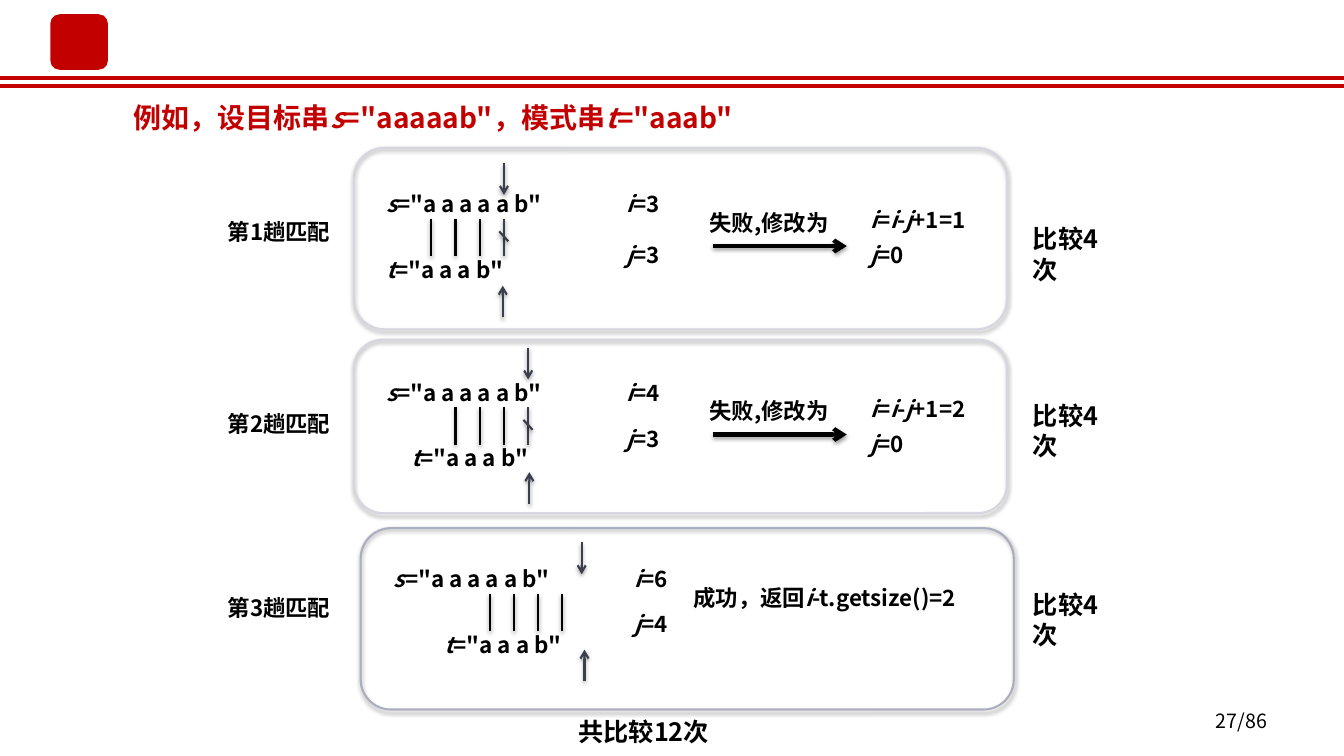
from lxml import etree
from pptx import Presentation
from pptx.dml.color import RGBColor
from pptx.enum.shapes import MSO_CONNECTOR, MSO_SHAPE
from pptx.enum.text import MSO_ANCHOR, PP_ALIGN
from pptx.oxml.ns import qn
from pptx.util import Cm, Pt

LINE = MSO_CONNECTOR.STRAIGHT
ROUND = MSO_SHAPE.ROUNDED_RECTANGLE
TOP, MIDDLE = MSO_ANCHOR.TOP, MSO_ANCHOR.MIDDLE
LEFT, CENTER, RIGHT = PP_ALIGN.LEFT, PP_ALIGN.CENTER, PP_ALIGN.RIGHT

FONT = "Noto Sans CJK SC"
RED, BLACK, GREY, WHITE = "C30000", "000000", "3B3E4D", "FFFFFF"
STEP = 0.61

# Each pass: y of its target string, then places in cm and wording
PASSES = [
    dict(no=1, y=4.8, dx=0, frame=(8.92, 3.73, 16.46, 4.57), edge="D5D6DF",
         label=5.49, count=5.51, t=9.73, tick=10.87, j_gap=1.27,
         down=(12.7, 4.11), up=(12.67, 8), i=3, j=3, next_i=1),
    dict(no=2, y=9.55, dx=0, frame=(8.92, 8.56, 16.46, 4.37), edge="D5D6DF",
         label=10.34, count=9.96, t=10.36, tick=11.48, j_gap=1.17,
         down=(13.31, 8.76), up=(13.34, 12.7), i=4, j=3, next_i=2),
    dict(no=3, y=14.25, dx=0.2, frame=(9.09, 13.31, 16.46, 4.57), edge="AAAEBE",
         label=14.96, count=14.71, t=11.2, tick=12.34, j_gap=1.12,
         down=(14.66, 13.67), up=(14.73, 17.17), i=6, j=4, next_i=None),
]


def color(code):
    return RGBColor.from_string(code)


def effect(shape, shadow):
    """Give the shape a soft lower shadow, or an empty effect list."""
    props = shape._element.spPr
    effects = etree.SubElement(props, qn("a:effectLst"))
    if shadow:
        outer = etree.SubElement(effects, qn("a:outerShdw"), blurRad="39370",
                                 dist="20320", dir="5400000", rotWithShape="0")
        tint = etree.SubElement(outer, qn("a:srgbClr"), val=BLACK)
        etree.SubElement(tint, qn("a:alpha"), val="38000")


def write(shape, text, size=16, ink=BLACK, bold=True, align=LEFT,
          anchor=TOP, inset=True):
    """Fill the shape with text; parts between asterisks are italic."""
    frame = shape.text_frame
    frame.word_wrap = True
    frame.vertical_anchor = anchor
    side, edge = (0.25, 0.13) if inset else (0, 0)
    frame.margin_left = frame.margin_right = Cm(side)
    frame.margin_top = frame.margin_bottom = Cm(edge)
    para = frame.paragraphs[0]
    para.alignment = align
    for n, part in enumerate(text.split("*")):
        if not part:
            continue
        run = para.add_run()
        run.text = part
        font = run.font
        font.name, font.size = FONT, Pt(size)
        font.bold, font.italic = bold, n % 2 == 1
        font.color.rgb = color(ink)
        etree.SubElement(run._r.get_or_add_rPr(), qn("a:ea"), typeface=FONT)


def note(slide, text, x, y, w, h, **format):
    box = slide.shapes.add_textbox(Cm(x), Cm(y), Cm(w), Cm(h))
    write(box, text, **format)


def label(slide, text, x, y, w, h=0.8, **format):
    """Add text without insets on a white ground."""
    box = slide.shapes.add_textbox(Cm(x), Cm(y), Cm(w), Cm(h))
    box.fill.solid()
    box.fill.fore_color.rgb = color(WHITE)
    write(box, text, inset=False, **format)


def rule(slide, x1, y1, x2, y2, ink=BLACK, width=1.5, arrow=False, shadow=True):
    line = slide.shapes.add_connector(LINE, Cm(x1), Cm(y1), Cm(x2), Cm(y2))
    line.line.color.rgb = color(ink)
    line.line.width = Pt(width)
    if arrow:
        etree.SubElement(line.line._get_or_add_ln(), qn("a:tailEnd"), type="arrow")
    effect(line, shadow)


def panel(slide, x, y, w, h, fill=None, edge=None):
    shape = slide.shapes.add_shape(ROUND, Cm(x), Cm(y), Cm(w), Cm(h))
    if fill:
        shape.fill.solid()
        shape.fill.fore_color.rgb = color(fill)
    else:
        shape.fill.background()
    if edge:
        shape.line.color.rgb = color(edge)
        shape.line.width = Pt(1.5)
    else:
        shape.line.fill.background()
    effect(shape, bool(edge))


def ticks(slide, x, y, fails):
    """Link four letter pairs; a failed last pair is struck out."""
    for n in range(4):
        miss = fails and n == 3
        left = x + n * STEP
        rule(slide, left, y, left, y + 0.95, ink=GREY if miss else BLACK)
        if miss:
            rule(slide, left - 0.12, y + 0.32, left + 0.11, y + 0.57, ink=GREY)


def match(slide, row):
    """Draw one matching pass."""
    y, dx = row["y"], row["dx"]
    fails = row["next_i"] is not None
    label(slide, f"第{row['no']}趟匹配", 5.74, row["label"], 2.97)
    label(slide, '*s*="a a a a a b"', 9.73 + dx, y, 4.9)
    label(slide, '*t*="a a a b"', row["t"], y + 1.65, 3.75)
    label(slide, f"*i*={row['i']}", 15.29 + dx, y, 1.85, 1.09, align=CENTER)
    label(slide, f"*j*={row['j']}", 15.29 + dx, y + row["j_gap"], 1.85, 1.09,
          align=CENTER)
    ticks(slide, row["tick"], y + 0.71, fails)
    x, top = row["down"]
    rule(slide, x, top, x, top + 0.8, ink=GREY, arrow=True)
    x, foot = row["up"]
    rule(slide, x, foot, x, foot - 0.8, ink=GREY, arrow=True)
    if fails:
        label(slide, "失败,修改为", 17.88, y + 0.47, 3.71)
        label(slide, f"*i*=*i*-*j*+1={row['next_i']}", 21.95, y + 0.4, 3.05)
        label(slide, "*j*=0", 21.95, y + 1.28, 1.85, 1.09)
        rule(slide, 17.96, y + 1.4, 21.34, y + 1.4, width=3, arrow=True)
    else:
        label(slide, "成功，返回*i*-t.getsize()=2", 17.48, y + 0.48, 7.72)
    panel(slide, *row["frame"], edge=row["edge"])
    note(slide, "比较4次", 25.78, row["count"], 2.77, 1.8, size=18)


def head(slide):
    for y in (1.96, 2.16):
        rule(slide, 0, y, 33.87, y, ink=RED, width=3, shadow=False)
    panel(slide, 1.27, 0.36, 1.45, 1.4, fill=RED)
    title = slide.shapes.title
    title.left, title.top = Cm(3.12), Cm(2.41)
    title.width, title.height = Cm(17.07), Cm(1.12)
    write(title, '例如，设目标串*s*="aaaaab"，模式串*t*="aaab"', size=20, ink=RED)


def main():
    deck = Presentation()
    deck.slide_width, deck.slide_height = Cm(33.87), Cm(19.05)
    slide = deck.slides.add_slide(deck.slide_layouts[5])
    head(slide)
    for row in PASSES:
        match(slide, row)
    note(slide, "共比较12次", 14.33, 17.93, 4.17, 1.02, size=18)
    note(slide, "27/86", 24.28, 17.65, 7.9, 1.02, size=14, bold=False,
         align=RIGHT, anchor=MIDDLE)
    deck.save("out.pptx")


if __name__ == "__main__":
    main()
